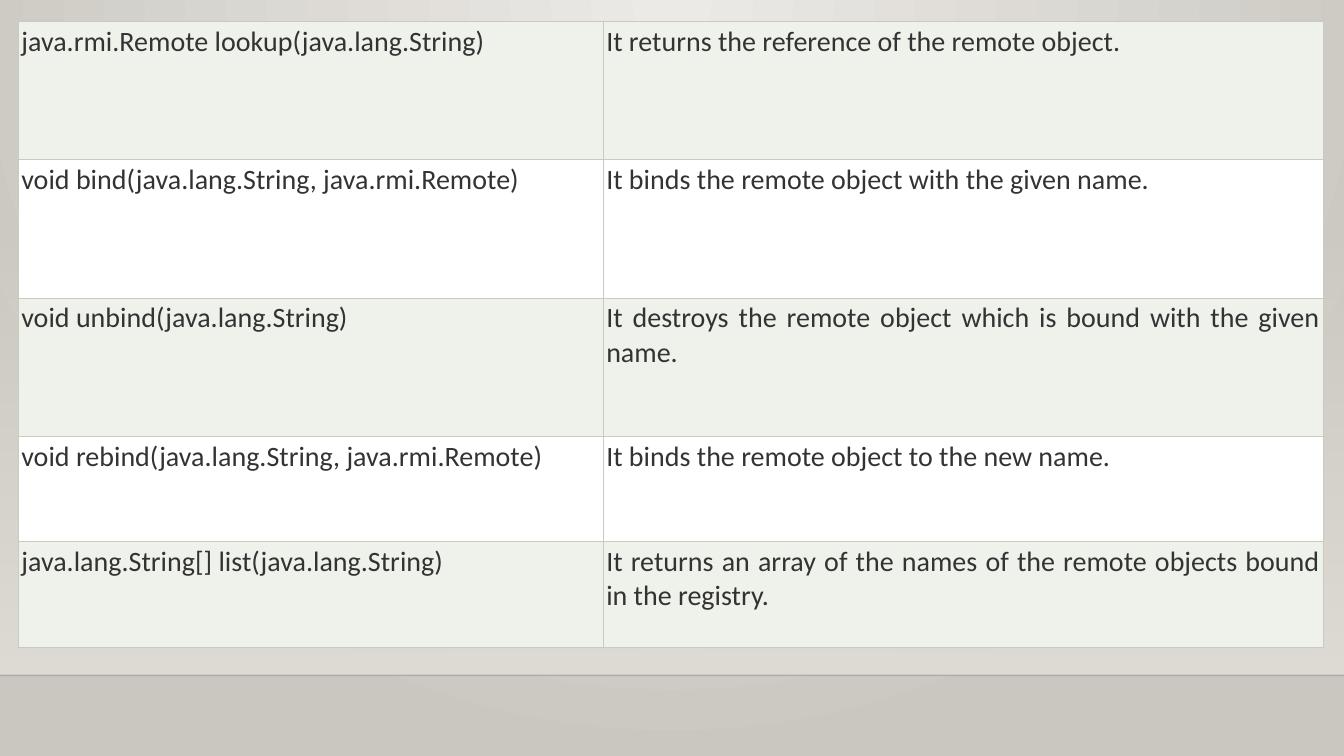
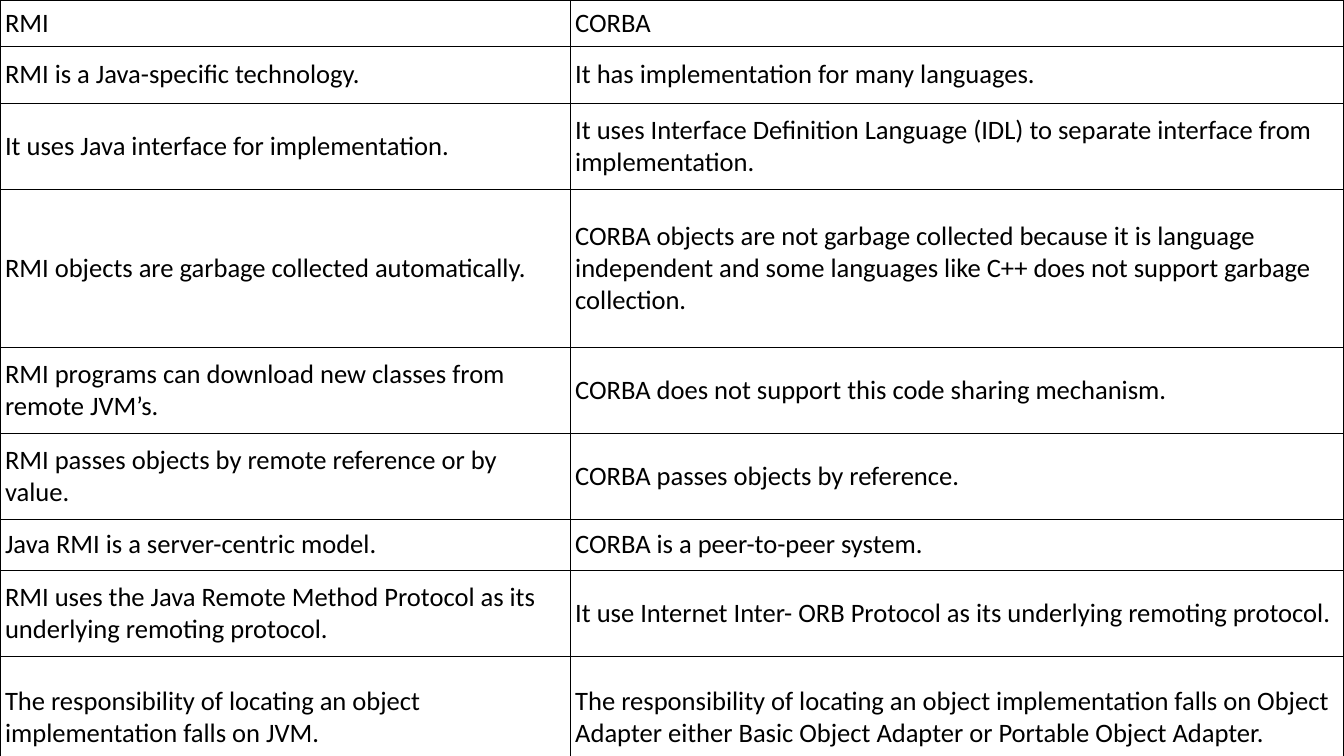
from lxml import etree
from pptx import Presentation
from pptx.dml.color import RGBColor
from pptx.enum import shapes as sh, text as tx
from pptx.oxml import ns
from pptx.util import Pt

WIDE, HIGH = 960, 540
FLOOR = 482.4
BAND_TOP = 159
FONT = "Calibri"

BLACK = RGBColor(0, 0, 0)
WHITE = RGBColor(255, 255, 255)
INK = RGBColor(0x33, 0x33, 0x33)
SAGE = RGBColor(0xEF, 0xF1, 0xEB)
RULE = RGBColor(0xC7, 0xCC, 0xBE)
LIGHT = RGBColor(0xEC, 0xEA, 0xE7)
STONE = RGBColor(0xCA, 0xC7, 0xC1)
SAND = RGBColor(0xDF, 0xDB, 0xD5)

METHODS = [
    ("java.rmi.Remote lookup(java.lang.String)",
     "It returns the reference of the remote object."),
    ("void bind(java.lang.String, java.rmi.Remote)",
     "It binds the remote object with the given name."),
    ("void unbind(java.lang.String)",
     "It destroys the remote object which is bound with the given name."),
    ("void rebind(java.lang.String, java.rmi.Remote)",
     "It binds the remote object to the new name."),
    ("java.lang.String[] list(java.lang.String)",
     "It returns an array of the names of the remote objects bound in the registry."),
]

VERSUS = [
    ("RMI", "CORBA"),
    ("RMI is a Java-specific technology.",
     "It has implementation for many languages."),
    ("It uses Java interface for implementation.",
     "It uses Interface Definition Language (IDL) to separate interface from implementation."),
    ("RMI objects are garbage collected automatically.",
     "CORBA objects are not garbage collected because it is language independent "
     "and some languages like C++ does not support garbage collection."),
    ("RMI programs can download new classes from remote JVM’s.",
     "CORBA does not support this code sharing mechanism."),
    ("RMI passes objects by remote reference or by value.",
     "CORBA passes objects by reference."),
    ("Java RMI is a server-centric model.",
     "CORBA is a peer-to-peer system."),
    ("RMI uses the Java Remote Method Protocol as its underlying remoting protocol.",
     "It use Internet Inter- ORB Protocol as its underlying remoting protocol."),
    ("The responsibility of locating an object implementation falls on JVM.",
     "The responsibility of locating an object implementation falls on Object Adapter "
     "either Basic Object Adapter or Portable Object Adapter."),
]


def add(node, tag, **attrs):
    return etree.SubElement(node, ns.qn(tag), attrs)


def find(node, tag):
    return next(node.iter(ns.qn(tag)))


def blend(fill, first, last):
    fill.gradient()
    for stop, color, place in zip(fill.gradient_stops, (first, last), (0, 1)):
        stop.color.rgb = color
        stop.position = place


def fade(node, alpha):
    add(find(node, "a:srgbClr"), "a:alpha", val=str(alpha * 1000))


def glow(master):
    blend(master.background.fill, LIGHT, STONE)
    grad = find(master.element, "a:gradFill")
    grad.remove(find(grad, "a:lin"))
    track = add(grad, "a:path", path="circle")
    add(track, "a:fillToRect", l="43000", t="0", r="43000", b="100000")


def stage(slide, master):
    band = slide.shapes.add_shape(
        sh.MSO_SHAPE.RECTANGLE, 0, Pt(BAND_TOP), Pt(WIDE), Pt(FLOOR - BAND_TOP))
    band.shadow.inherit = False
    band.line.fill.background()
    blend(band.fill, SAND, SAND)
    band.fill.gradient_angle = 270
    fade(band.element.spPr, 0)

    edge = slide.shapes.add_connector(
        sh.MSO_CONNECTOR.STRAIGHT, 0, Pt(FLOOR), Pt(WIDE), Pt(FLOOR))
    edge.line.color.rgb = BLACK
    edge.line.width = Pt(1)
    fade(edge.element.spPr, 20)
    add(edge.element.spPr, "a:effectLst")

    tree = master.shapes.element
    for spot, shape in enumerate((band, edge)):
        find(shape.element, "p:cNvPr").set("id", str(100 + spot))
        tree.insert(2 + spot, shape.element)


def frame(cell, color, width):
    props = cell._tc.get_or_add_tcPr()
    for side in "LRTB":
        line = add(props, f"a:ln{side}", w=str(Pt(width)))
        add(add(line, "a:solidFill"), "a:srgbClr", val=str(color))


def put(cell, words, size, color, align, pad):
    cell.margin_left = cell.margin_right = Pt(pad)
    cell.margin_top = cell.margin_bottom = Pt(pad)
    para = cell.text_frame.paragraphs[0]
    para.alignment = align
    run = para.add_run()
    run.text = words
    run.font.name = FONT
    run.font.size = Pt(size)
    run.font.color.rgb = color


def grid(slide, data, left, top, cols, rows, fills, edge, anchor, **style):
    table = slide.shapes.add_table(
        len(rows), len(cols), Pt(left), Pt(top), Pt(sum(cols)), Pt(sum(rows))).table
    table.first_row = table.horz_banding = False
    for col, width in zip(table.columns, cols):
        col.width = Pt(width)
    for i, (row, height, line) in enumerate(zip(table.rows, rows, data)):
        row.height = Pt(height)
        for cell, words in zip(row.cells, line):
            frame(cell, *edge)
            cell.fill.solid()
            cell.fill.fore_color.rgb = fills[i % len(fills)]
            cell.vertical_anchor = anchor
            put(cell, words, **style)


def main():
    deck = Presentation()
    deck.slide_width, deck.slide_height = Pt(WIDE), Pt(HIGH)
    master = deck.slide_master
    blank = deck.slide_layouts[6]
    glow(master)

    calls = deck.slides.add_slide(blank)
    stage(calls, master)
    grid(calls, METHODS, 13, 15.3, (417.8, 514.2), [98.8] * 3 + [75.4] * 2,
         (SAGE, WHITE), (RULE, 0.75), tx.MSO_ANCHOR.TOP,
         size=20, color=INK, align=tx.PP_ALIGN.JUSTIFY, pad=2.25)

    match = deck.slides.add_slide(blank)
    grid(match, VERSUS, 0, 0, (407.3, 552.7),
         (33, 41, 61.5, 112.5, 61.5, 61.5, 36.5, 61.5, 87),
         (WHITE,), (BLACK, 1), tx.MSO_ANCHOR.MIDDLE,
         size=19, color=BLACK, align=tx.PP_ALIGN.LEFT, pad=3.6)

    deck.save("out.pptx")


if __name__ == "__main__":
    main()
